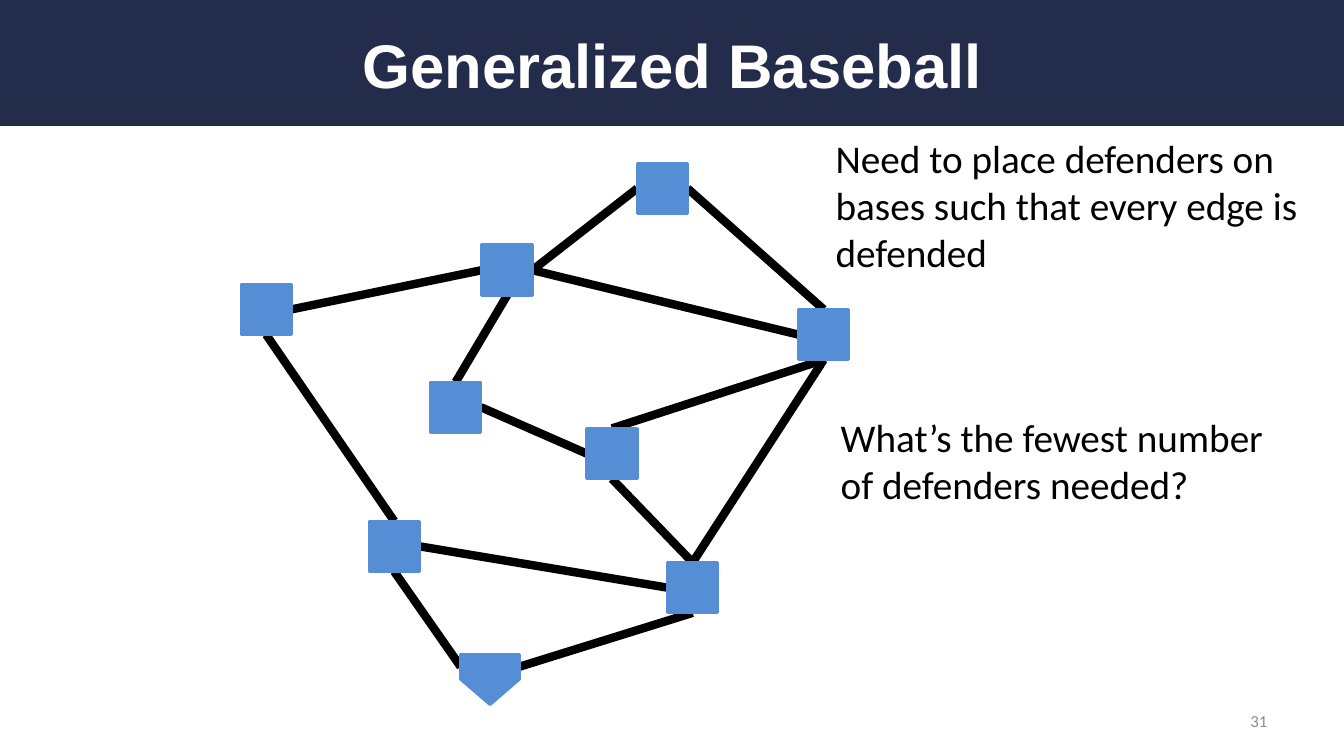
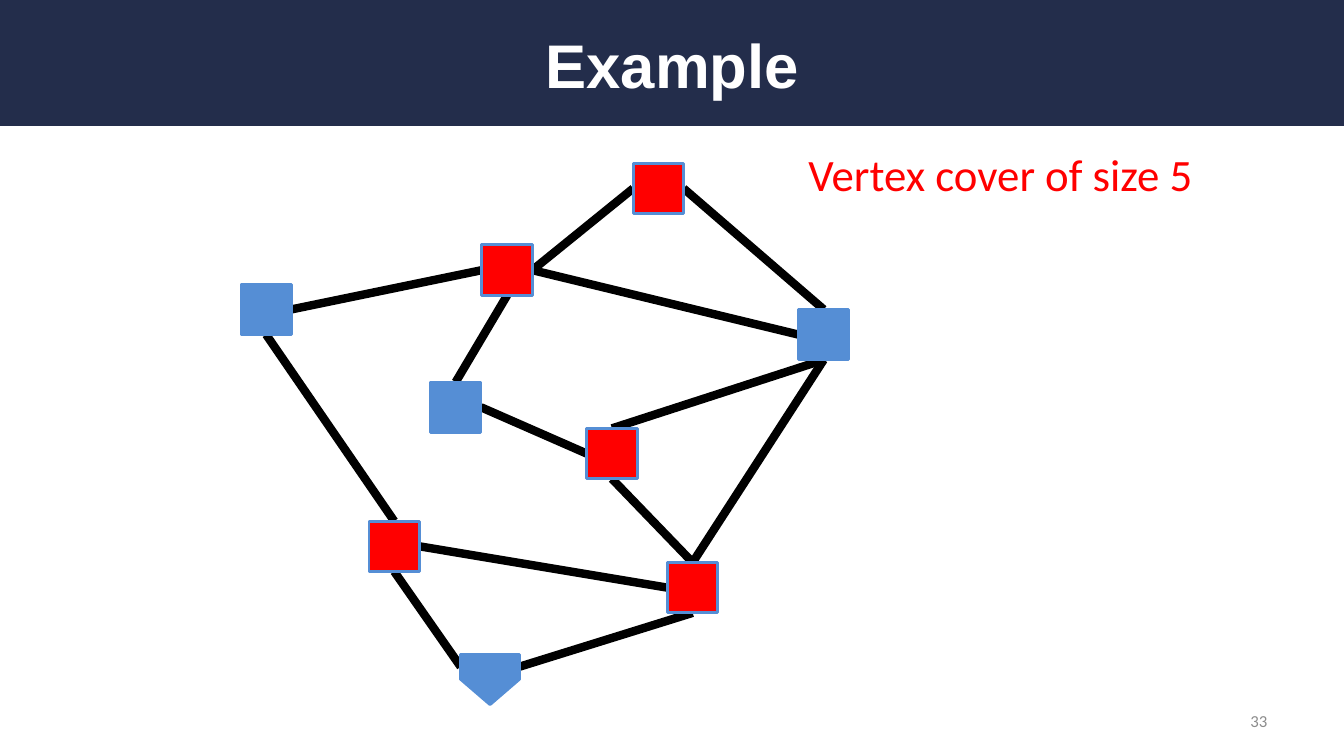
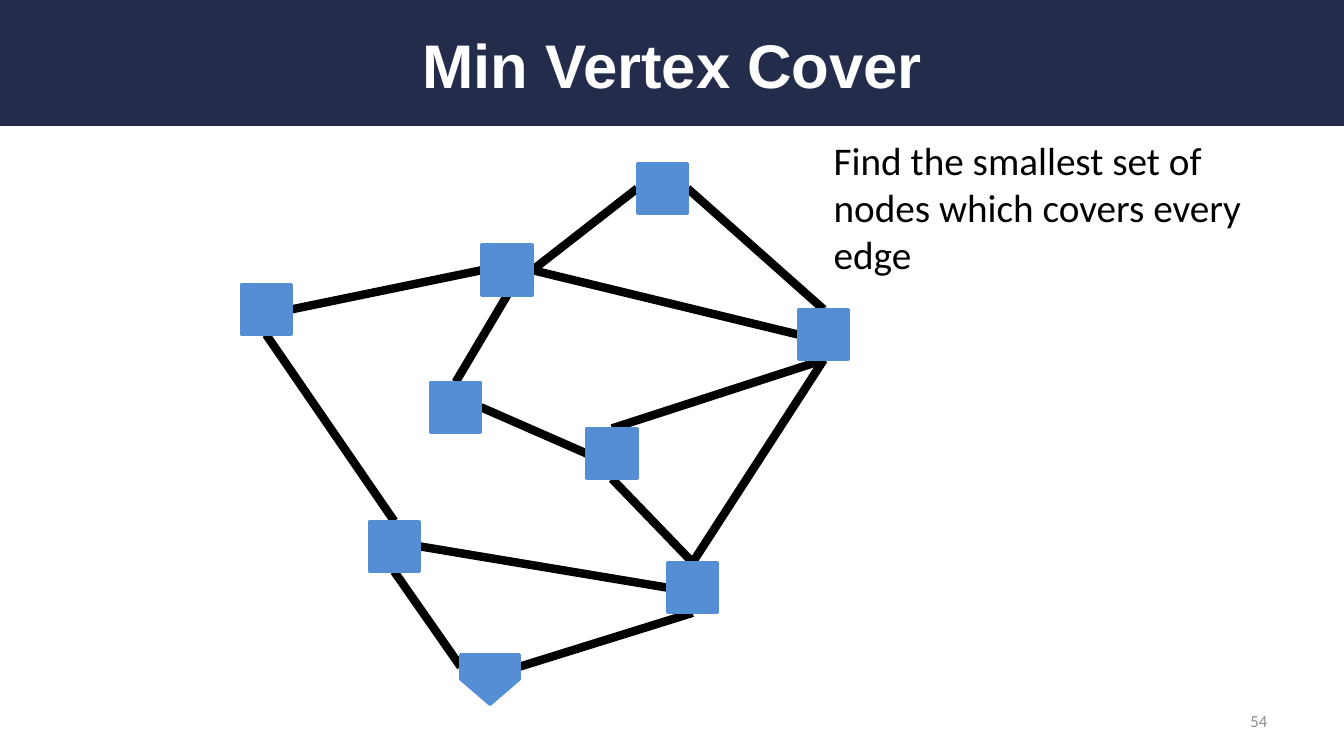
from lxml.etree import SubElement
from pptx import Presentation
from pptx.dml.color import RGBColor
from pptx.enum.shapes import MSO_CONNECTOR, MSO_SHAPE
from pptx.enum.text import MSO_ANCHOR, MSO_AUTO_SIZE, PP_ALIGN
from pptx.oxml.ns import qn
from pptx.util import Inches, Pt

NAVY, BLUE, RED = "232D4B", "558ED5", "FF0000"
BLACK, WHITE, GREY = "000000", "FFFFFF", "8C8C8C"
WIDTH, HEIGHT, BAND_HEIGHT = 13.33, 7.5, 1.25
BASE_SIZE = 0.5

HOME = (4.57, 6.49, 0.58, 0.25)
BASES = {
    "lower left": (3.66, 5.17),
    "lower right": (6.62, 5.58),
    "right": (7.92, 3.07),
    "middle": (4.27, 3.79),
    "left": (2.39, 2.82),
    "upper": (4.78, 2.43),
    "centre": (5.82, 4.25),
    "top": (6.32, 1.62),
}
SIDES = {"N": (0.5, 0), "S": (0.5, 1), "W": (0, 0.5), "E": (1, 0.5)}
EDGES = [
    ("home", "E", "lower right", "S"),
    ("lower left", "S", "home", "W"),
    ("lower right", "W", "lower left", "E"),
    ("left", "S", "lower left", "N"),
    ("left", "E", "upper", "W"),
    ("upper", "E", "right", "W"),
    ("upper", "S", "middle", "N"),
    ("middle", "E", "centre", "W"),
    ("right", "S", "centre", "N"),
    ("upper", "E", "top", "W"),
    ("right", "N", "top", "E"),
    ("lower right", "N", "centre", "S"),
    ("lower right", "N", "right", "S"),
]

SLIDES = [
    {
        "title": "Generalized Baseball",
        "number": "31",
        "notes": [
            ("Need to place defenders on bases such that every edge is defended",
             (8.19, 1.28, 5, 1.51), 28, BLACK),
            ("What’s the fewest number of defenders needed?",
             (8.24, 4.05, 4.6, 1.04), 28, BLACK),
        ],
    },
    {
        "title": "Example",
        "number": "33",
        "notes": [("Vertex cover of size 5", (7.92, 1.41, 4.42, 0.64), 32, RED)],
        "cover": {"lower left", "lower right", "upper", "centre", "top"},
        "moved": {"top": (6.28, 1.62)},
    },
    {
        "title": "Min Vertex Cover",
        "number": "54",
        "notes": [
            ("Find the smallest set of nodes which covers every edge",
             (8.17, 1.3, 4.42, 1.51), 28, BLACK),
        ],
    },
]


def color(value):
    return RGBColor.from_string(value)


def write(frame, text, size, fill, font="Calibri", bold=False, align=PP_ALIGN.LEFT):
    para = frame.paragraphs[0]
    para.alignment = align
    span = para.add_run()
    span.text = text
    span.font.name = font
    span.font.size = Pt(size)
    span.font.bold = bold
    span.font.color.rgb = color(fill)


def add_text(page, text, place, size, fill, align=PP_ALIGN.LEFT, anchor=MSO_ANCHOR.TOP):
    box = page.shapes.add_textbox(*map(Inches, place))
    frame = box.text_frame
    frame.word_wrap = True
    frame.vertical_anchor = anchor
    frame.auto_size = MSO_AUTO_SIZE.NONE
    write(frame, text, size, fill, align=align)


def add_block(page, kind, place, fill, outline=None):
    block = page.shapes.add_shape(kind, *map(Inches, place))
    block.shadow.inherit = False
    block.fill.solid()
    block.fill.fore_color.rgb = color(fill)
    if outline:
        block.line.color.rgb = color(outline)
        block.line.width = Pt(2)
    else:
        block.line.fill.background()
    return block


def add_edge(page, start, end):
    edge = page.shapes.add_connector(MSO_CONNECTOR.STRAIGHT, *map(Inches, start + end))
    edge.line.color.rgb = color(BLACK)
    edge.line.width = Pt(6)
    SubElement(edge.element.spPr, qn("a:effectLst"))


def side_point(place, side):
    left, top, width, height = place
    across, down = SIDES[side]
    return left + across * width, top + down * height


def add_graph(page, cover, moved):
    places = {name: (*corner, BASE_SIZE, BASE_SIZE)
              for name, corner in {**BASES, **moved}.items()}
    anchors = {**places, "home": HOME}
    for start, start_side, end, end_side in EDGES:
        add_edge(page, side_point(anchors[start], start_side),
                 side_point(anchors[end], end_side))

    left, top, width, height = HOME
    tip = add_block(page, MSO_SHAPE.ISOSCELES_TRIANGLE,
                    (left, top + height, width, height), BLUE, BLUE)
    tip.rotation = 180
    add_block(page, MSO_SHAPE.RECTANGLE, HOME, BLUE, BLUE)
    for name, place in places.items():
        add_block(page, MSO_SHAPE.RECTANGLE, place, RED if name in cover else BLUE, BLUE)


def add_title(page, text):
    title = page.shapes.title
    title.left, title.top, title.width, title.height = map(Inches, (0.67, 0.17, 12, 0.92))
    title.text_frame.vertical_anchor = MSO_ANCHOR.MIDDLE
    write(title.text_frame, text, 44, WHITE, "Arial", True, PP_ALIGN.CENTER)


def main():
    deck = Presentation()
    deck.slide_width, deck.slide_height = Inches(WIDTH), Inches(HEIGHT)
    layout = deck.slide_layouts.get_by_name("Title Only")
    for index, content in enumerate(SLIDES):
        page = deck.slides.add_slide(layout)
        if index == 0:
            band = add_block(page, MSO_SHAPE.RECTANGLE, (0, 0, WIDTH, BAND_HEIGHT), NAVY)
            layout.shapes.element.insert(2, band.element)
        add_title(page, content["title"])
        add_text(page, content["number"], (9.56, 6.95, 3.11, 0.4), 12, GREY,
                 PP_ALIGN.RIGHT, MSO_ANCHOR.MIDDLE)
        add_graph(page, content.get("cover", ()), content.get("moved", {}))
        for note in content["notes"]:
            add_text(page, *note)
    deck.save("out.pptx")


if __name__ == "__main__":
    main()
